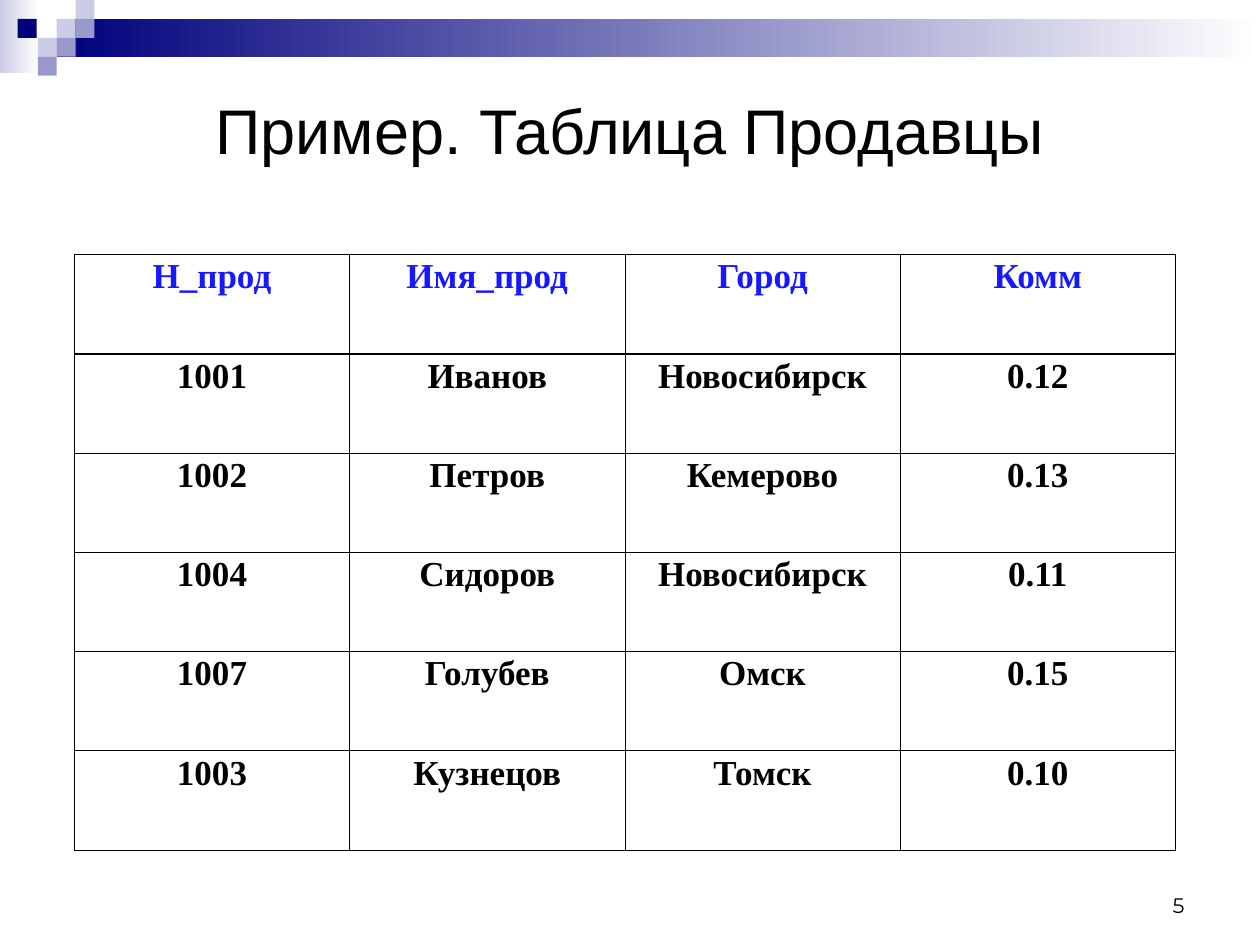
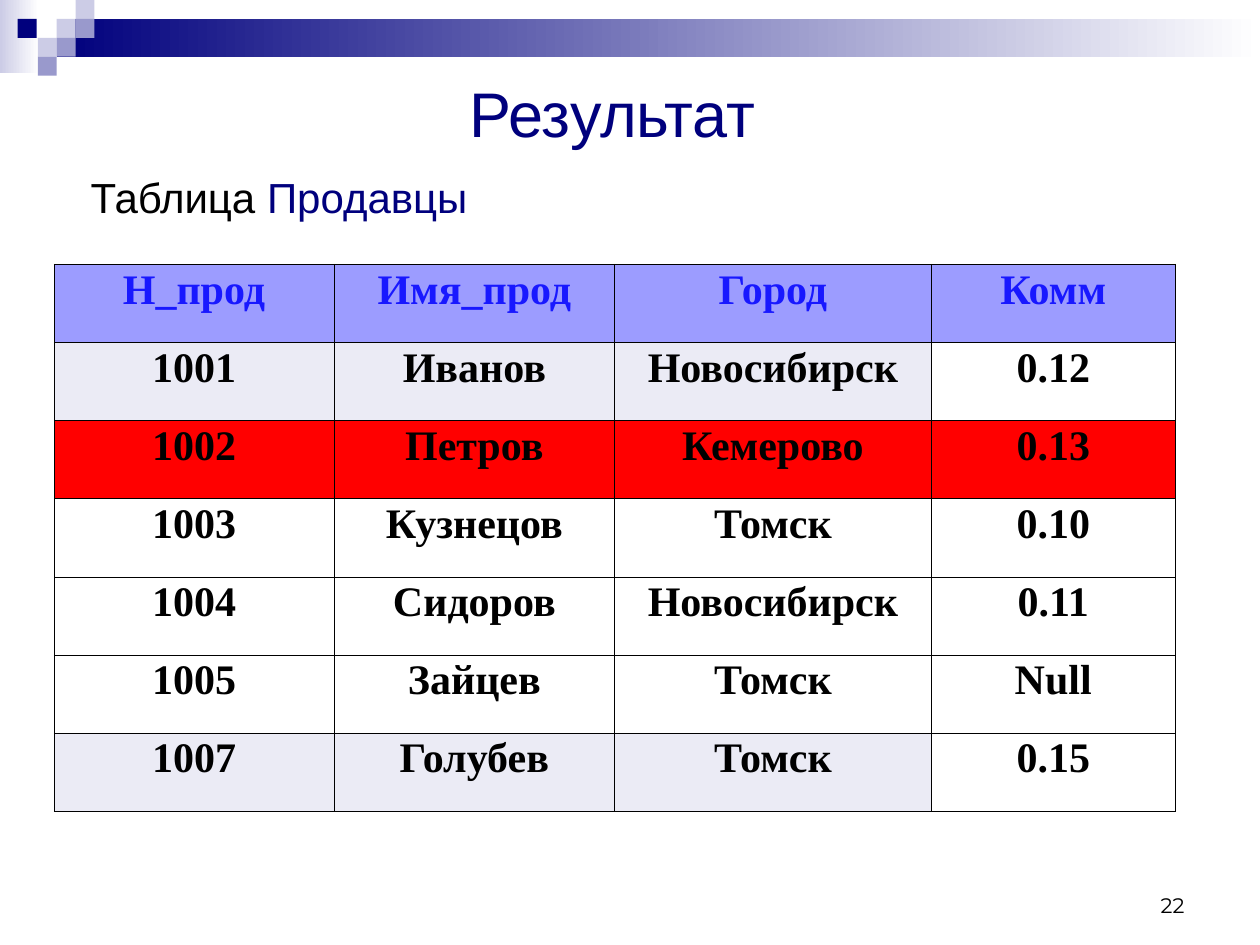
"""Build two slides with the salespeople table before and after a change."""
from dataclasses import dataclass

from lxml import etree
from pptx import Presentation
from pptx.dml.color import RGBColor
from pptx.enum.shapes import MSO_SHAPE
from pptx.enum.text import MSO_ANCHOR, MSO_AUTO_SIZE, PP_ALIGN
from pptx.oxml.ns import qn
from pptx.util import Inches, Pt

RECTANGLE = MSO_SHAPE.RECTANGLE
LEFT, CENTER, RIGHT = PP_ALIGN.LEFT, PP_ALIGN.CENTER, PP_ALIGN.RIGHT
TOP, MIDDLE, BOTTOM = MSO_ANCHOR.TOP, MSO_ANCHOR.MIDDLE, MSO_ANCHOR.BOTTOM
NO_AUTOFIT = MSO_AUTO_SIZE.NONE
TITLE_ONLY, TITLE_AND_BODY = 5, 1


@dataclass(frozen=True)
class Theme:
    navy: str = "00007D"
    lilac: str = "9999CC"
    pale: str = "CCCCE6"
    white: str = "FFFFFF"
    black: str = "000000"
    header_text: str = "1818FF"
    header_fill: str = "9C9CFF"
    tint: str = "EBEBF5"
    highlight: str = "FF0000"
    sans: str = "Arial"
    serif: str = "Times New Roman"
    number_font: str = "Montserrat"
    title_size: int = 36
    body_size: int = 24
    number_size: int = 12
    thin: float = 0.45
    thick: float = 0.96


THEME = Theme()

GRADIENT_BANDS = [
    ((0, 0, 0.31, 0.58), THEME.pale),
    ((0.45, 0.15, 9.55, 0.3), THEME.navy),
]
SQUARE = 0.15
SQUARES = [
    (0.45, 0.15, THEME.pale),
    (0.6, 0, THEME.pale),
    (0.6, 0.15, THEME.lilac),
    (0.3, 0.3, THEME.pale),
    (0.14, 0.15, THEME.navy),
    (0.45, 0.3, THEME.lilac),
    (0.3, 0.45, THEME.lilac),
]
NUMBER_BOX = (7.17, 6.83, 2.33, 0.5)

HEADER = ("Н_прод", "Имя_прод", "Город", "Комм")
TINTED_ROW = [THEME.tint] * 3 + [None]
SLIDES = [
    {
        "number": "5",
        "title": "Пример. Таблица Продавцы",
        "title_box": (0.5, 0.5, 9, 1.05),
        "title_color": THEME.black,
        "table": {
            "origin": (0.59, 2.02),
            "columns": [2.185] * 4,
            "row_height": 0.788,
            "size": 20,
            "rows": [
                HEADER,
                ("1001", "Иванов", "Новосибирск", "0.12"),
                ("1002", "Петров", "Кемерово", "0.13"),
                ("1004", "Сидоров", "Новосибирск", "0.11"),
                ("1007", "Голубев", "Омск", "0.15"),
                ("1003", "Кузнецов", "Томск", "0.10"),
            ],
            "fills": {},
        },
    },
    {
        "number": "22",
        "title": "Результат",
        "title_box": (0.36, 0.53, 9, 0.73),
        "title_color": THEME.navy,
        "body": [("Таблица ", THEME.black), ("Продавцы", THEME.navy)],
        "body_box": (0.62, 1.31, 9.16, 5.75),
        "table": {
            "origin": (0.43, 2.1),
            "columns": [2.22, 2.23, 2.51, 1.94],
            "row_height": 0.62,
            "size": 24,
            "rows": [
                HEADER,
                ("1001", "Иванов", "Новосибирск", "0.12"),
                ("1002", "Петров", "Кемерово", "0.13"),
                ("1003", "Кузнецов", "Томск", "0.10"),
                ("1004", "Сидоров", "Новосибирск", "0.11"),
                ("1005", "Зайцев", "Томск", "Null"),
                ("1007", "Голубев", "Томск", "0.15"),
            ],
            "fills": {
                0: [THEME.header_fill] * 4,
                1: TINTED_ROW,
                2: [THEME.highlight] * 4,
                5: [THEME.white] * 4,
                6: TINTED_ROW,
            },
        },
    },
]


def rgb(color):
    return RGBColor.from_string(color)


def place(shape, box):
    shape.left, shape.top, shape.width, shape.height = map(Inches, box)


def style_paragraph(paragraph, font_name, size, color, align, bold=False):
    paragraph.alignment = align
    font = paragraph.font
    font.name, font.size, font.bold = font_name, Pt(size), bold
    font.color.rgb = rgb(color)


def set_frame(frame, anchor):
    frame.word_wrap = True
    frame.auto_size = NO_AUTOFIT
    frame.vertical_anchor = anchor


def add_block(slide, box):
    block = slide.shapes.add_shape(RECTANGLE, *map(Inches, box))
    block.shadow.inherit = False
    block.line.fill.background()
    return block


def add_decoration(slide):
    for box, color in GRADIENT_BANDS:
        fill = add_block(slide, box).fill
        fill.gradient()
        fill.gradient_angle = 0
        for stop, stop_color in zip(fill.gradient_stops, (color, THEME.white)):
            stop.color.rgb = rgb(stop_color)
    for left, top, color in SQUARES:
        fill = add_block(slide, (left, top, SQUARE, SQUARE)).fill
        fill.solid()
        fill.fore_color.rgb = rgb(color)


def add_title(slide, text, box, color):
    title = slide.shapes.title
    place(title, box)
    title.text_frame.text = text
    set_frame(title.text_frame, MIDDLE)
    style_paragraph(title.text_frame.paragraphs[0], THEME.sans,
                    THEME.title_size, color, CENTER)


def add_body(slide, pieces, box):
    body = slide.placeholders[1]
    place(body, box)
    set_frame(body.text_frame, TOP)
    paragraph = body.text_frame.paragraphs[0]
    paragraph.space_before = Pt(0)
    properties = paragraph._p.get_or_add_pPr()
    properties.set("marL", "0")
    properties.set("indent", "0")
    etree.SubElement(properties, qn("a:buNone"))
    style_paragraph(paragraph, THEME.sans, THEME.body_size, THEME.black, LEFT)
    for text, color in pieces:
        run = paragraph.add_run()
        run.text = text
        run.font.color.rgb = rgb(color)


def add_number(slide, number):
    box = slide.shapes.add_textbox(*map(Inches, NUMBER_BOX))
    box.text_frame.text = number
    set_frame(box.text_frame, BOTTOM)
    style_paragraph(box.text_frame.paragraphs[0], THEME.number_font,
                    THEME.number_size, THEME.black, RIGHT)


def set_borders(cell, top, bottom):
    properties = cell._tc.get_or_add_tcPr()
    widths = {"lnL": THEME.thin, "lnR": THEME.thin, "lnT": top, "lnB": bottom}
    for side, width in widths.items():
        line = etree.SubElement(properties, qn(f"a:{side}"), w=str(Pt(width)))
        fill = etree.SubElement(line, qn("a:solidFill"))
        etree.SubElement(fill, qn("a:srgbClr"), val=THEME.black)


def fill_cell(cell, color):
    if color:
        cell.fill.solid()
        cell.fill.fore_color.rgb = rgb(color)
    else:
        cell.fill.background()


def add_sellers_table(slide, origin, columns, row_height, size, rows, fills):
    box = (*origin, sum(columns), row_height * len(rows))
    table = slide.shapes.add_table(len(rows), len(columns), *map(Inches, box)).table
    table.first_row = table.horz_banding = False
    for column, width in zip(table.columns, columns):
        column.width = Inches(width)
    for row_index, values in enumerate(rows):
        table.rows[row_index].height = Inches(row_height)
        is_header = row_index == 0
        color = THEME.header_text if is_header else THEME.black
        top = THEME.thick if row_index <= 1 else THEME.thin
        bottom = THEME.thick if is_header else THEME.thin
        row_fills = fills.get(row_index, [None] * len(columns))
        for column_index, (text, fill) in enumerate(zip(values, row_fills)):
            cell = table.cell(row_index, column_index)
            cell.text = text
            paragraph = cell.text_frame.paragraphs[0]
            paragraph.line_spacing = 0.9
            style_paragraph(paragraph, THEME.serif, size, color, CENTER, bold=True)
            set_borders(cell, top, bottom)
            fill_cell(cell, fill)


def main():
    presentation = Presentation()
    presentation.slide_width, presentation.slide_height = Inches(10), Inches(7.5)
    for content in SLIDES:
        layout = TITLE_AND_BODY if "body" in content else TITLE_ONLY
        slide = presentation.slides.add_slide(presentation.slide_layouts[layout])
        add_decoration(slide)
        add_title(slide, content["title"], content["title_box"], content["title_color"])
        if "body" in content:
            add_body(slide, content["body"], content["body_box"])
        add_sellers_table(slide, **content["table"])
        add_number(slide, content["number"])
    presentation.save("out.pptx")


if __name__ == "__main__":
    main()
